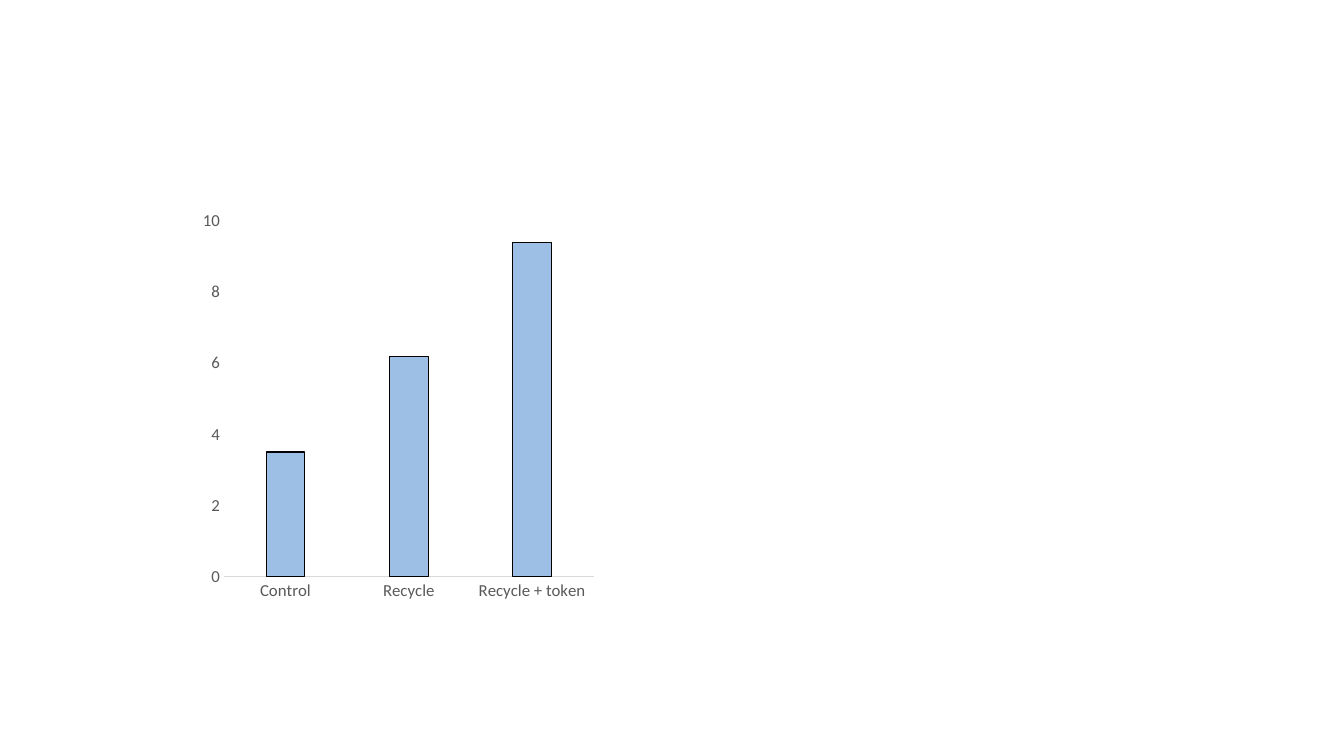
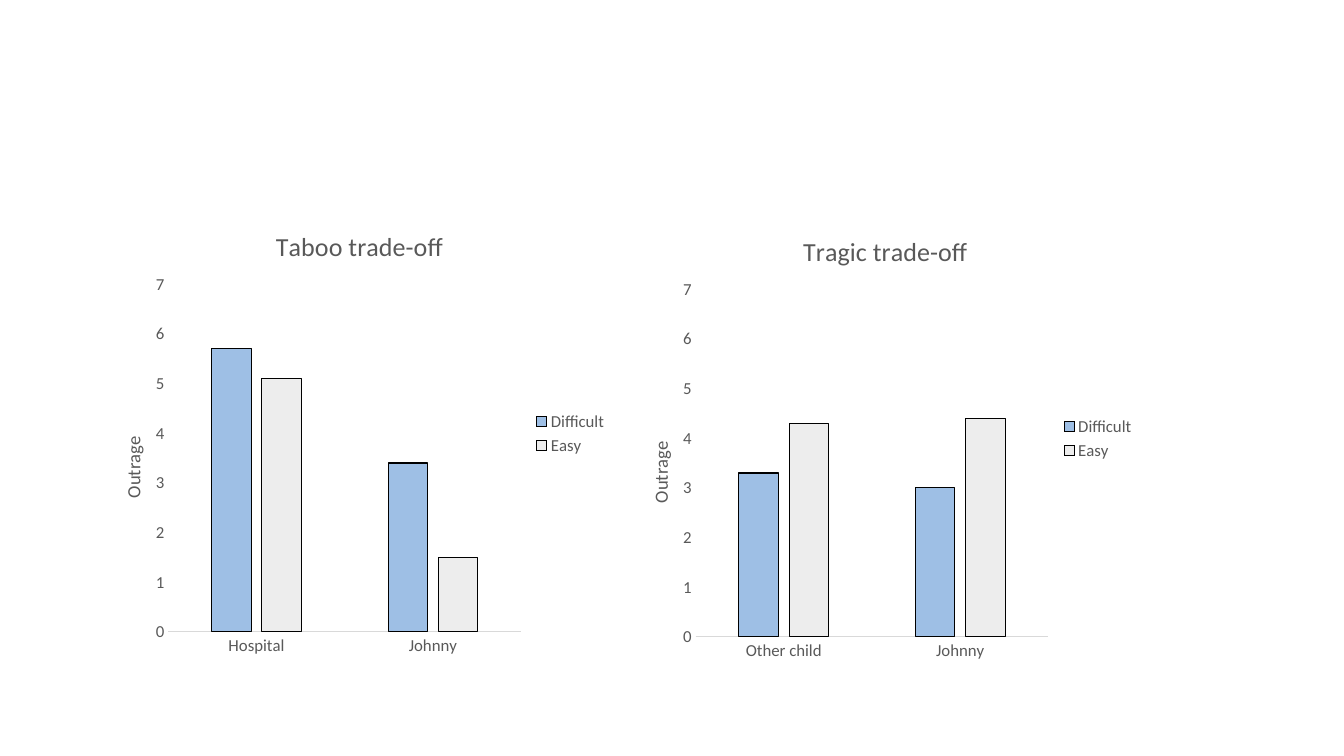
from dataclasses import dataclass

from lxml import etree
from pptx import Presentation
from pptx import util as u
from pptx.chart import data as chart_data
from pptx.dml import color
from pptx.enum import chart as ch
from pptx.oxml import ns

PX = 9144


@dataclass(frozen=True)
class Theme:
    """Colours and type sizes shared by every chart."""
    font: str = "Calibri"
    text: str = "595959"
    axis: str = "D9D9D9"
    outline: str = "000000"
    fills: tuple = ("9EBFE5", "EDEDED")
    label: float = 12
    axis_title: float = 13.3
    title: float = 18.6
    line: float = 0.75


THEME = Theme()


def px(length):
    """Turn pixels into EMU."""
    return u.Emu(length * PX)


def rgb(code):
    """Turn a hex code into a colour."""
    return color.RGBColor.from_string(code)


def style_font(font, size):
    """Apply the theme face, colour and weight at a given size."""
    font.name = THEME.font
    font.size = u.Pt(size)
    font.bold = False
    font.color.rgb = rgb(THEME.text)


def set_layout(parent, index, box, place):
    """Fix a chart part at a px place (x, y and maybe w, h) in its box."""
    for auto_layout in parent.findall(ns.qn("c:layout")):
        parent.remove(auto_layout)
    layout = etree.Element(ns.qn("c:layout"))
    manual = etree.SubElement(layout, ns.qn("c:manualLayout"))
    settings = [("xMode", "edge"), ("yMode", "edge")]
    if len(place) == 4:
        settings.insert(0, ("layoutTarget", "inner"))
    whole = (box[2], box[3]) * 2
    settings += [(side, f"{length / total:.4f}")
                 for side, length, total in zip("xywh", place, whole)]
    for tag, value in settings:
        etree.SubElement(manual, ns.qn(f"c:{tag}")).set("val", value)
    parent.insert(index, layout)


def add_heading(heading, words, size, box, place):
    """Write a chart or axis title and return its text frame."""
    frame = heading.text_frame
    frame.text = words
    style_font(frame.paragraphs[0].font, size)
    set_layout(heading.element, 1, box, place)
    return frame


def style_axes(chart, top, step):
    """Give both axes plain labels and keep only the base line."""
    for axis in (chart.category_axis, chart.value_axis):
        axis.has_major_gridlines = False
        axis.major_tick_mark = axis.minor_tick_mark = ch.XL_TICK_MARK.NONE
        style_font(axis.tick_labels.font, THEME.label)
    base = chart.category_axis.format.line
    base.color.rgb = rgb(THEME.axis)
    base.width = u.Pt(THEME.line)
    values = chart.value_axis
    values.format.line.fill.background()
    values.minimum_scale, values.maximum_scale = 0, top
    values.major_unit = step


def add_columns(slide, box, plot_place, categories, series, top, step):
    """Add a clustered column chart in the given box."""
    content = chart_data.CategoryChartData()
    content.categories = categories
    for name, values in series.items():
        content.add_series(name, values)
    chart = slide.shapes.add_chart(ch.XL_CHART_TYPE.COLUMN_CLUSTERED,
                                   *map(px, box), content).chart
    style_font(chart.font, THEME.label)
    chart.has_title = chart.has_legend = False
    style_axes(chart, top, step)
    plot = chart.plots[0]
    plot.vary_by_categories = False
    plot.gap_width, plot.overlap = 219, -27
    for columns, fill in zip(plot.series, THEME.fills):
        columns.format.fill.solid()
        columns.format.fill.fore_color.rgb = rgb(fill)
        columns.format.line.color.rgb = rgb(THEME.outline)
        columns.format.line.width = u.Pt(THEME.line)
    plot_area = chart.element.find(".//" + ns.qn("c:plotArea"))
    set_layout(plot_area, 0, box, plot_place)
    return chart


def add_outrage(slide, box, title, categories, series):
    """Add a titled outrage chart with a legend at the right."""
    chart = add_columns(slide, box, (75, 82, 350, 345), categories, series, 7, 1)
    chart.has_title = True
    add_heading(chart.chart_title, title, THEME.title, box, (177, 22))
    chart.chart_title.include_in_layout = False
    frame = add_heading(chart.value_axis.axis_title, "Outrage",
                        THEME.axis_title, box, (24, 229))
    direction = frame._txBody.find(ns.qn("a:bodyPr"))
    direction.set("rot", "-5400000")
    direction.set("vert", "horz")
    chart.has_legend = True
    chart.legend.position = ch.XL_LEGEND_POSITION.RIGHT
    chart.legend.include_in_layout = False
    style_font(chart.legend.font, THEME.label)


def recycling_slide(slide):
    """Build the slide comparing the recycling conditions."""
    add_columns(slide, (193, 175, 404, 429), (29, 9, 367, 388),
                ("Control", "Recycle", "Recycle + token"),
                {"Series 1": (3.5, 6.2, 9.4)}, 11, 2)


def trade_off_slide(slide):
    """Build the slide comparing taboo and tragic trade-offs."""
    add_outrage(slide, (92, 200, 521, 460), "Taboo trade-off",
                ("Hospital", "Johnny"),
                {"Difficult": (5.7, 3.4), "Easy": (5.1, 1.5)})
    add_outrage(slide, (615, 205, 521, 460), "Tragic trade-off",
                ("Other child", "Johnny"),
                {"Difficult": (3.3, 3), "Easy": (4.3, 4.4)})


def main():
    """Build and save the presentation."""
    deck = Presentation()
    deck.slide_width, deck.slide_height = px(1333), px(750)
    for build in (recycling_slide, trade_off_slide):
        build(deck.slides.add_slide(deck.slide_layouts[6]))
    deck.save("out.pptx")


if __name__ == "__main__":
    main()
